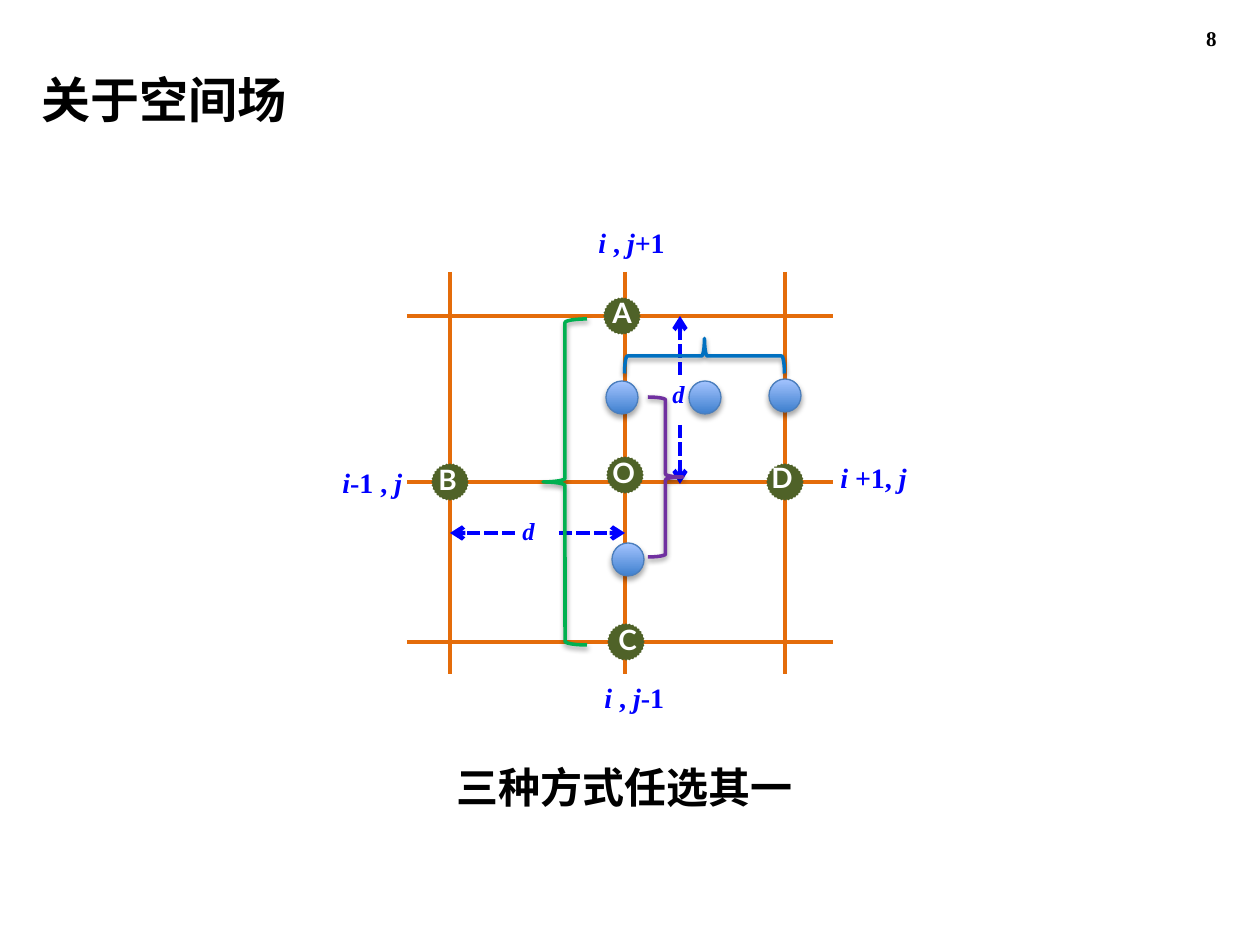
from lxml.etree import SubElement
from pptx import Presentation
from pptx.dml.color import RGBColor
from pptx.enum.dml import MSO_LINE
from pptx.enum.shapes import MSO_CONNECTOR, MSO_SHAPE
from pptx.enum.text import MSO_ANCHOR, MSO_AUTO_SIZE, PP_ALIGN
from pptx.oxml.ns import qn
from pptx.util import Pt

PX = 914400 / 126
COLORS = {
    "black": "000000", "white": "FFFFFF", "grid": "E46C0A", "node": "4F6228",
    "label": "0000FF", "ball_dark": "3F80CE", "ball_light": "A4C4FF",
    "ball_line": "4B7EBC", "green": "00B050", "purple": "7030A0", "blue": "0070C0",
}


def emu(*lengths):
    return [round(n * PX) for n in lengths]


def color(name):
    return RGBColor.from_string(COLORS[name])


class GridSlide:
    """Draws the elements of a finite-difference grid on one slide."""

    def __init__(self, prs):
        self.shapes = prs.slides.add_slide(prs.slide_layouts[6]).shapes

    def text(self, box, runs, size, font, ink="black", italic=False, wrap=False,
             align=PP_ALIGN.LEFT, anchor=MSO_ANCHOR.TOP, grow=True):
        tf = self.shapes.add_textbox(*emu(*box)).text_frame
        frame = {
            "word_wrap": wrap, "vertical_anchor": anchor,
            "auto_size": MSO_AUTO_SIZE.SHAPE_TO_FIT_TEXT if grow else MSO_AUTO_SIZE.NONE,
        }
        for key, value in frame.items():
            setattr(tf, key, value)
        p = tf.paragraphs[0]
        p.alignment = align
        for i, part in enumerate(runs.split("|")):
            r = p.add_run()
            r.text = part
            style = {"size": Pt(size), "name": font, "bold": True,
                     "italic": italic and i % 2 == 0}
            for key, value in style.items():
                setattr(r.font, key, value)
            r.font.color.rgb = color(ink)

    def label(self, box, runs, size=16):
        self.text(box, runs, size, "Times New Roman", "label", italic=True)

    def line(self, start, end, ink, arrow=False):
        s = self.shapes.add_connector(MSO_CONNECTOR.STRAIGHT, *emu(*start, *end))
        s.line.color.rgb = color(ink)
        s.line.width = Pt(2.5)
        sp_pr = s.element.find(qn("p:spPr"))
        if arrow:
            s.line.dash_style = MSO_LINE.SQUARE_DOT
            SubElement(sp_pr.find(qn("a:ln")), qn("a:tailEnd"), type="arrow")
        SubElement(sp_pr, qn("a:effectLst"))

    def shape(self, kind, box, ink, width):
        s = self.shapes.add_shape(kind, *emu(*box))
        s.shadow.inherit = False
        s.line.color.rgb = color(ink)
        s.line.width = Pt(width)
        return s

    def shadow(self, s, opacity, distance):
        effects = s.element.find(qn("p:spPr")).find(qn("a:effectLst"))
        outer = SubElement(effects, qn("a:outerShdw"), blurRad=str(Pt(3.1)),
                           dist=str(Pt(distance)), dir="5400000", rotWithShape="0")
        tint = SubElement(outer, qn("a:srgbClr"), val=COLORS["black"])
        SubElement(tint, qn("a:alpha"), val=str(opacity * 1000))

    def node(self, center, size=33):
        x, y = center
        s = self.shape(MSO_SHAPE.STAR_32_POINT, (x - size / 2, y - size / 2, size, size),
                       "node", 2.5)
        s.fill.solid()
        s.fill.fore_color.rgb = color("node")

    def ball(self, left, top):
        s = self.shape(MSO_SHAPE.OVAL, (left, top, 32, 33), "ball_line", 0.75)
        s.fill.gradient()
        s.fill.gradient_angle = 90
        for stop, ink in zip(s.fill.gradient_stops, ("ball_dark", "ball_light")):
            stop.color.rgb = color(ink)
        self.shadow(s, 35, 1.8)

    def brace(self, kind, box, ink, rotation=0):
        s = self.shape(kind, box, ink, 2)
        s.fill.background()
        s.rotation = rotation
        self.shadow(s, 38, 1.6)


def main():
    prs = Presentation()
    prs.slide_width, prs.slide_height = emu(1260, 945)
    slide = GridSlide(prs)
    slide.text((935, 13, 294, 50), "8", 12, "Times New Roman", wrap=True,
               align=PP_ALIGN.RIGHT, anchor=MSO_ANCHOR.MIDDLE, grow=False)
    slide.text((29, 63, 641, 72), "关于空间场", 28, "Arial", wrap=True)

    columns, rows = (450, 625, 785), (316, 482, 642)
    for y in rows:
        slide.line((407, y), (833, y), "grid")
    for x in columns:
        slide.line((x, 272), (x, 674), "grid")

    nodes = {
        "B": ((450, 482), (426, 456)), "O": ((625, 475), (600, 449)),
        "D": ((785, 482), (759, 454)), "A": ((622, 316), (600, 289)),
        "C": ((626, 642), (606, 616)),
    }
    for center, _ in nodes.values():
        slide.node(center)
    for name, (_, corner) in nodes.items():
        slide.text((*corner, 52, 52), name, 16, "Lato", "white")

    slide.label((586, 219, 102, 52), "i |, |j|+1")
    slide.label((592, 674, 95, 52), "i |, |j|-1")
    slide.label((330, 459, 95, 52), "i|-1 , |j")
    slide.label((828, 454, 102, 52), "i |+1, |j")

    for start, end in (((680, 425), (680, 484)), ((680, 375), (680, 316)),
                       ((559, 533), (625, 533)), ((515, 533), (450, 533))):
        slide.line(start, end, "label", arrow=True)
    for corner in ((660, 373), (510, 510)):
        slide.label((*corner, 42, 47), "d", 14)

    for corner in ((606, 381), (769, 379), (689, 381), (612, 543)):
        slide.ball(*corner)
    slide.brace(MSO_SHAPE.LEFT_BRACE, (543, 319, 44, 326), "green")
    slide.brace(MSO_SHAPE.RIGHT_BRACE, (648, 397, 35, 160), "purple")
    slide.brace(MSO_SHAPE.RIGHT_BRACE, (687, 276, 35, 160), "blue", 270)
    slide.text((444, 755, 373, 63), "三种方式任选其一", 24, "Calibri", wrap=True)
    prs.save("out.pptx")


if __name__ == "__main__":
    main()
